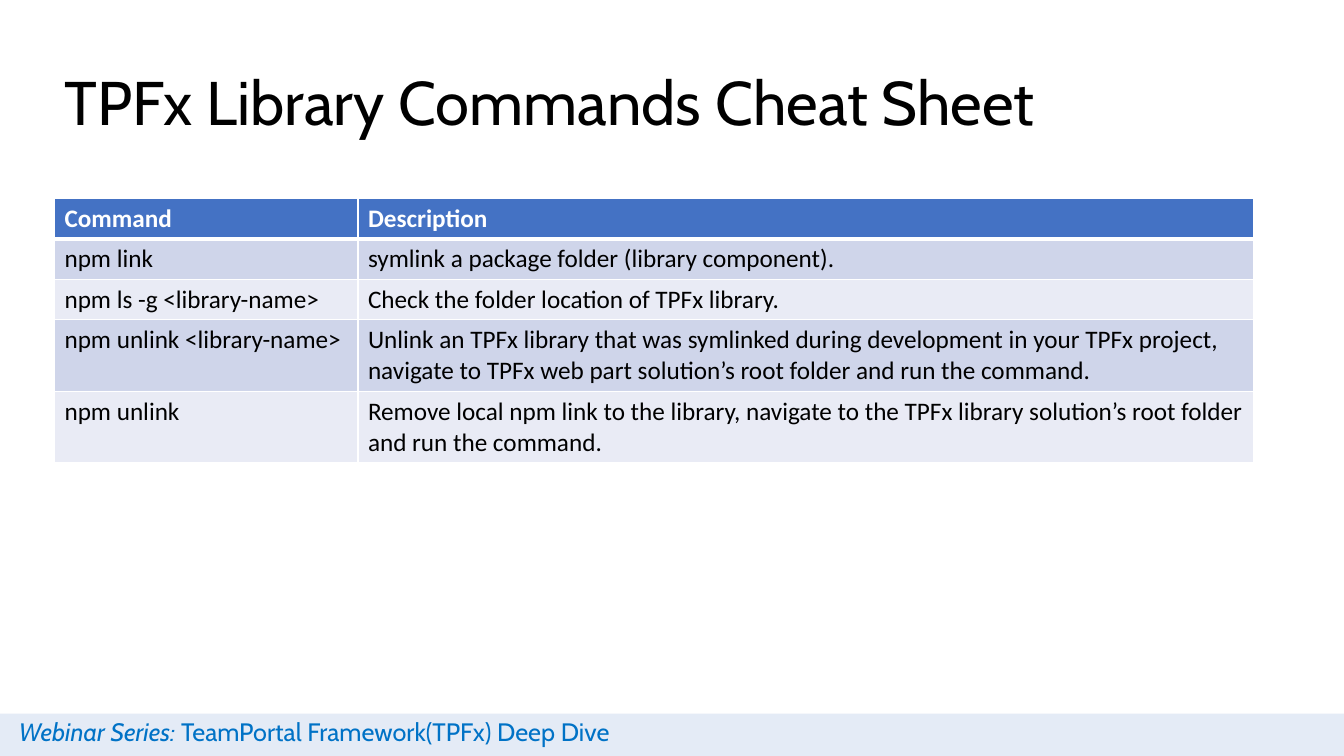
from lxml.etree import SubElement
from pptx import Presentation
from pptx.dml.color import RGBColor
from pptx.enum.shapes import MSO_SHAPE
from pptx.enum.text import MSO_ANCHOR, MSO_AUTO_SIZE, PP_ALIGN
from pptx.oxml.ns import qn
from pptx.util import Inches, Pt

COLORS = {
    "accent": "4472C4",
    "series": "0072C6",
    "band_dark": "CFD5EA",
    "band_light": "E9EBF5",
    "white": "FFFFFF",
    "black": "000000",
}
COMMANDS = [
    ("Command", "Description"),
    ("npm link", "symlink a package folder (library component)."),
    ("npm ls -g <library-name>", "Check the folder location of TPFx library."),
    ("npm unlink <library-name>",
     "Unlink an TPFx library that was symlinked during development in your TPFx project, "
     "navigate to TPFx web part solution’s root folder and run the command."),
    ("npm unlink",
     "Remove local npm link to the library, navigate to the TPFx library solution’s root "
     "folder and run the command."),
]
COLUMN_WIDTHS = [3.01, 8.88]
ROW_HEIGHTS = [0.4, 0.4, 0.4, 0.71, 0.71]


def rgb(name):
    return RGBColor.from_string(COLORS[name])


def format_run(r, font, size, color, bold=False, italic=False):
    r.font.name = font
    r.font.size = Pt(size)
    r.font.color.rgb = rgb(color)
    r.font.bold = bold
    r.font.italic = italic


def add_footer_band(slide):
    sp = slide.shapes.add_shape(
        MSO_SHAPE.RECTANGLE, Inches(0), Inches(7.08), Inches(13.33), Inches(0.42))
    sp.shadow.inherit = False
    sp.line.fill.background()
    sp.fill.solid()
    sp.fill.fore_color.rgb = rgb("accent")
    color = sp.fill._xPr.find(qn("a:solidFill")).find(qn("a:srgbClr"))
    SubElement(color, qn("a:alpha")).set("val", "14000")


def add_series_name(slide):
    sp = slide.shapes.add_textbox(Inches(0.09), Inches(7.06), Inches(7.14), Inches(0.4))
    tf = sp.text_frame
    tf.word_wrap = True
    tf.auto_size = MSO_AUTO_SIZE.SHAPE_TO_FIT_TEXT
    p = tf.paragraphs[0]
    for text, italic in [("Webinar Series: ", True),
                         ("TeamPortal Framework(TPFx) Deep Dive", False)]:
        r = p.add_run()
        r.text = text
        format_run(r, "Cabin", 18, "series", italic=italic)


def set_title(slide, text):
    title = slide.shapes.title
    title.left, title.top = Inches(0.54), Inches(0.32)
    title.width, title.height = Inches(11.5), Inches(1.45)
    tf = title.text_frame
    tf.text = text
    tf.auto_size = MSO_AUTO_SIZE.NONE
    tf.vertical_anchor = MSO_ANCHOR.MIDDLE
    p = tf.paragraphs[0]
    p.alignment = PP_ALIGN.LEFT
    p.line_spacing = 0.9
    format_run(p.runs[0], "Cabin", 44, "black")


def set_borders(cell, top, bottom):
    """Draw white borders: 1 pt at the sides, the given points above and below."""
    tcPr = cell._tc.get_or_add_tcPr()
    for tag, width in [("lnL", 1), ("lnR", 1), ("lnT", top), ("lnB", bottom)]:
        ln = SubElement(tcPr, qn(f"a:{tag}"), w=str(Pt(width)))
        fill = SubElement(ln, qn("a:solidFill"))
        SubElement(fill, qn("a:srgbClr"), val=COLORS["white"])


def format_cell(cell, text, row):
    header = row == 0
    set_borders(cell, top=3 if row == 1 else 1, bottom=3 if header else 1)
    cell.fill.solid()
    band = "band_dark" if row % 2 else "band_light"
    cell.fill.fore_color.rgb = rgb("accent" if header else band)
    cell.text = text
    format_run(cell.text_frame.paragraphs[0].runs[0], "Calibri", 18,
               "white" if header else "black", bold=header)


def add_command_table(slide):
    table = slide.shapes.add_table(
        len(COMMANDS), len(COLUMN_WIDTHS), Inches(0.54), Inches(1.97),
        Inches(sum(COLUMN_WIDTHS)), Inches(sum(ROW_HEIGHTS))).table
    for column, width in zip(table.columns, COLUMN_WIDTHS):
        column.width = Inches(width)
    for i, (texts, height) in enumerate(zip(COMMANDS, ROW_HEIGHTS)):
        table.rows[i].height = Inches(height)
        for j, text in enumerate(texts):
            format_cell(table.cell(i, j), text, i)


def main():
    prs = Presentation()
    prs.slide_width, prs.slide_height = Inches(13.33), Inches(7.5)
    slide = prs.slides.add_slide(prs.slide_layouts[5])
    add_footer_band(slide)
    add_series_name(slide)
    set_title(slide, "TPFx Library Commands Cheat Sheet")
    add_command_table(slide)
    prs.save("out.pptx")


if __name__ == "__main__":
    main()
